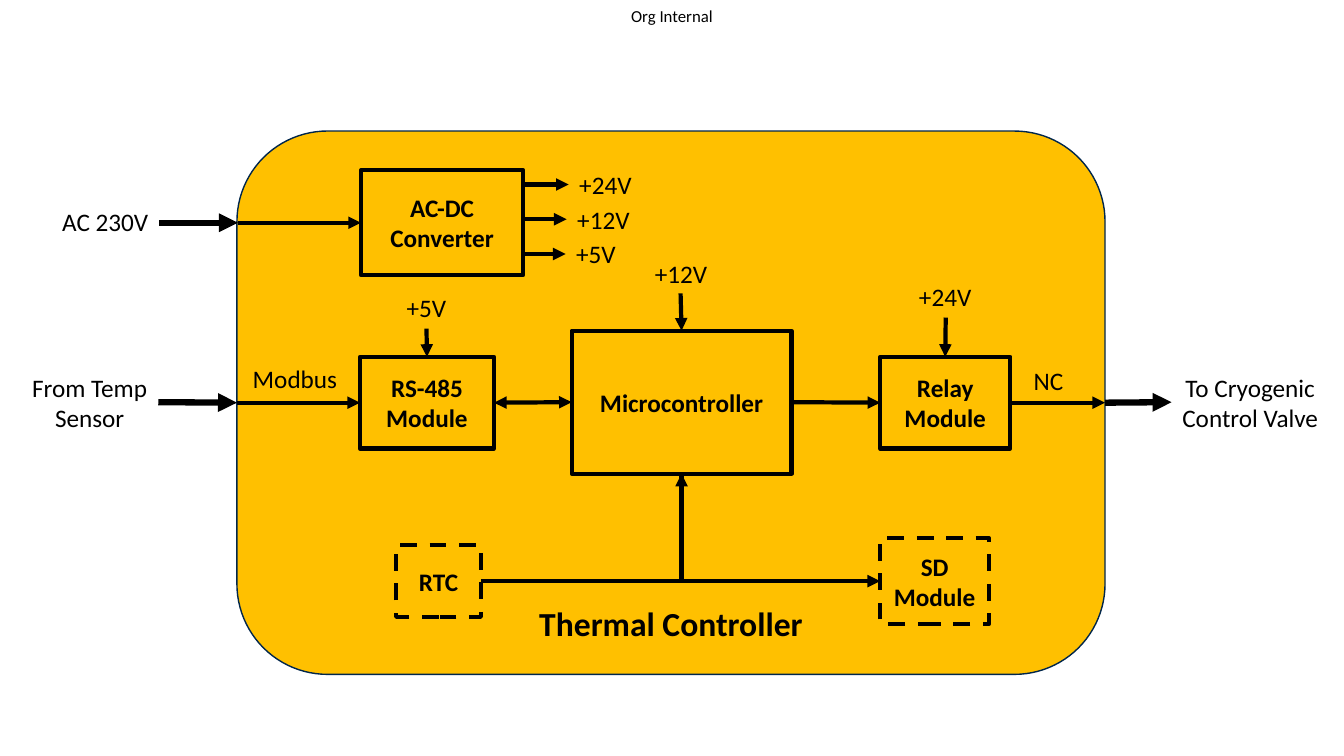
"""Build a block diagram slide of a thermal controller."""
import pptx
import pptx.dml.color
import pptx.enum.dml
import pptx.enum.shapes
import pptx.enum.text
import pptx.oxml
import pptx.oxml.ns
import pptx.util
from pptx.util import Inches

THEME = {
    "font": "Calibri", "ink": "000000", "panel": "FFC000", "panel_line": "00264B",
    "header": 12, "body": 18, "title": 24,
    "thin": 1, "wire": 3, "cable": 4.5,
}

PANEL = ("Thermal Controller", 2.35, 1.3, 8.61, 5.39)
BOXES = {
    "acdc": ("AC-DC\nConverter", 3.58, 1.69, 1.61, 1.04, False),
    "serial": ("RS-485\nModule", 3.57, 3.54, 1.33, 0.91, False),
    "micro": ("Microcontroller", 5.67, 3.28, 2.18, 1.42, False),
    "relay": ("Relay Module", 8.73, 3.54, 1.29, 0.91, False),
    "rtc": ("RTC", 3.93, 5.41, 0.84, 0.71, True),
    "sd": ("SD\nModule", 8.73, 5.34, 1.08, 0.85, True),
}
LABELS = [
    ("To Cryogenic\nControl Valve", 11.62, 3.64, 1.56, 0.71),
    ("From Temp\nSensor", 0.21, 3.64, 1.36, 0.71),
    ("AC 230V", 0.51, 2, 1.07, 0.4),
    ("Modbus", 2.4, 3.56, 1.05, 0.4),
    ("NC", 10.15, 3.58, 0.5, 0.4),
    ("+5V", 3.93, 2.85, 0.6, 0.4),
    ("+12V", 6.39, 2.51, 0.73, 0.4),
    ("+24V", 9.01, 2.74, 0.73, 0.4),
]
HEADER = ("Org Internal", 6.11, 0, 1.11, 0.32)
SUPPLIES = [("+24V", 5.64, 0.73), ("+12V", 5.62, 0.73), ("+5V", 5.61, 0.6)]
SUPPLY_TOP, SUPPLY_STEP = 1.83, 0.345

TOP, LEFT, BOTTOM, RIGHT = range(4)
CABLES = [
    (("panel", RIGHT), (11.62, 3.99)),
    ((1.57, 3.99), ("panel", LEFT)),
    ((1.58, 2.21), (2.36, 2.21)),
]
WIRES = [
    (("panel", LEFT), ("serial", LEFT)),
    (("micro", RIGHT), ("relay", LEFT)),
    (("relay", RIGHT), ("panel", RIGHT)),
    ((2.36, 2.21), ("acdc", LEFT)),
    ((4.23, 3.26), ("serial", TOP)),
    ((6.75, 2.91), ("micro", TOP)),
    ((9.38, 3.15), ("relay", TOP)),
]


def rgb(name):
    return pptx.dml.color.RGBColor.from_string(THEME[name])


def write(sp, text, size="body", bold=False, anchor="MIDDLE", wrap=True):
    tf = sp.text_frame
    tf.word_wrap = wrap
    tf.vertical_anchor = pptx.enum.text.MSO_ANCHOR[anchor]
    tf.text = text
    for p in tf.paragraphs:
        p.alignment = pptx.enum.text.PP_ALIGN.CENTER
        p.font.name = THEME["font"]
        p.font.size = pptx.util.Pt(THEME[size])
        p.font.bold = bold
        p.font.color.rgb = rgb("ink")
    return tf


def add_box(s, kind, frame, line, width):
    sp = s.shapes.add_shape(pptx.enum.shapes.MSO_SHAPE[kind], *map(Inches, frame))
    sp.shadow.inherit = False
    sp.fill.background()
    sp.line.color.rgb = rgb(line)
    sp.line.width = pptx.util.Pt(THEME[width])
    return sp


def add_label(s, text, *frame, size="body", anchor="TOP"):
    sp = s.shapes.add_textbox(*map(Inches, frame))
    return write(sp, text, size, anchor=anchor, wrap=False)


def locate(end, nodes):
    """Return the point, in EMU, of a free end or of a side of a node."""
    if not isinstance(end[0], str):
        return Inches(end[0]), Inches(end[1])
    sp, side = nodes[end[0]], end[1]
    across = {LEFT: 0, RIGHT: sp.width}.get(side, sp.width // 2)
    down = {TOP: 0, BOTTOM: sp.height}.get(side, sp.height // 2)
    return sp.left + across, sp.top + down


def add_arrow(s, nodes, start, stop, width="wire", ends=("tailEnd",), bent=False):
    kind = "ELBOW" if bent else "STRAIGHT"
    x1, y1 = locate(start, nodes)
    x2, y2 = locate(stop, nodes)
    cx = s.shapes.add_connector(pptx.enum.shapes.MSO_CONNECTOR[kind], x1, y1, x2, y2)
    if isinstance(start[0], str):
        cx.begin_connect(nodes[start[0]], start[1])
    if isinstance(stop[0], str):
        cx.end_connect(nodes[stop[0]], stop[1])
    cx.line.color.rgb = rgb("ink")
    cx.line.width = pptx.util.Pt(THEME[width])
    props = cx._element.spPr
    if bent:
        props.find(pptx.oxml.ns.qn("a:prstGeom")).set("prst", "bentConnector2")
    ln = cx.line._get_or_add_ln()
    for end in ends:
        arrow = pptx.oxml.parse_xml(f'<a:{end} {pptx.oxml.ns.nsdecls("a")} type="triangle"/>')
        ln.append(arrow)
    props.append(pptx.oxml.parse_xml(f'<a:effectLst {pptx.oxml.ns.nsdecls("a")}/>'))


def main():
    prs = pptx.Presentation()
    prs.slide_width, prs.slide_height = Inches(13.33), Inches(7.5)
    s = prs.slides.add_slide(prs.slide_layouts[6])

    tf = add_label(s, *HEADER, size="header", anchor="MIDDLE")
    tf.margin_left = tf.margin_right = tf.margin_top = tf.margin_bottom = 0

    title, *frame = PANEL
    panel = add_box(s, "ROUNDED_RECTANGLE", frame, "panel_line", "thin")
    panel.fill.solid()
    panel.fill.fore_color.rgb = rgb("panel")
    write(panel, title, "title", bold=True, anchor="BOTTOM")

    nodes = {"panel": panel}
    for name, (text, *frame, dashed) in BOXES.items():
        nodes[name] = add_box(s, "RECTANGLE", frame, "ink", "wire")
        if dashed:
            nodes[name].line.dash_style = pptx.enum.dml.MSO_LINE.DASH
        write(nodes[name], text, bold=True)

    for label in LABELS:
        add_label(s, *label)
    for start, stop in CABLES:
        add_arrow(s, nodes, start, stop, "cable")
    for start, stop in WIRES:
        add_arrow(s, nodes, start, stop)
    add_arrow(s, nodes, ("serial", RIGHT), ("micro", LEFT), ends=("headEnd", "tailEnd"))
    add_arrow(s, nodes, ("rtc", RIGHT), ("micro", BOTTOM), bent=True)
    add_arrow(s, nodes, ("sd", LEFT), ("micro", BOTTOM), ends=("headEnd",), bent=True)

    for i, (text, x, width) in enumerate(SUPPLIES):
        y = SUPPLY_TOP + i * SUPPLY_STEP
        add_arrow(s, nodes, (5.19, y), (x, y))
        add_label(s, text, x, y - 0.2, width, 0.4)

    prs.save("out.pptx")


if __name__ == "__main__":
    main()
